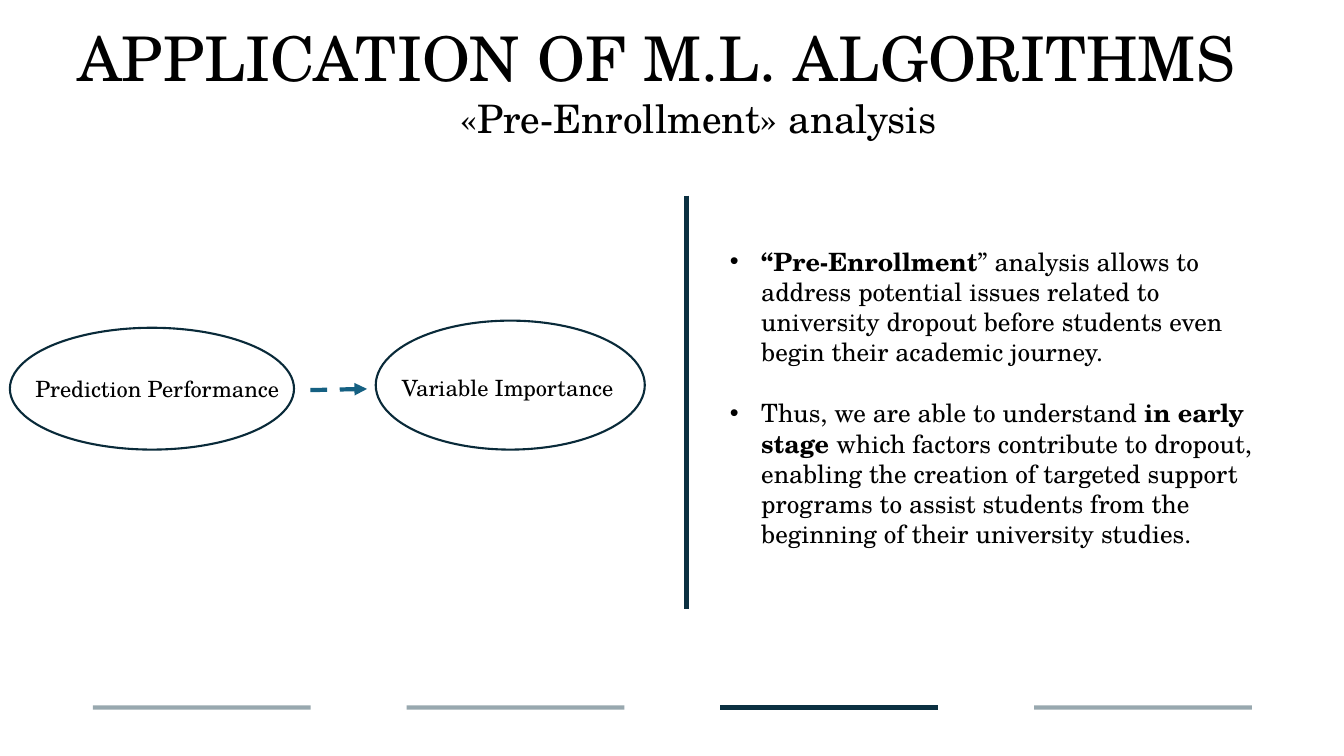
from dataclasses import dataclass

from lxml.etree import SubElement
from pptx import Presentation
from pptx.dml.color import RGBColor
from pptx.enum.dml import MSO_LINE
from pptx.enum.shapes import MSO_CONNECTOR, MSO_SHAPE
from pptx.enum.text import MSO_ANCHOR, MSO_AUTO_SIZE, PP_ALIGN
from pptx.oxml.ns import qn
from pptx.util import Cm, Pt


@dataclass(frozen=True)
class Theme:
    font: str = "TeX Gyre Schola"
    text: RGBColor = RGBColor(0x00, 0x00, 0x00)
    navy: RGBColor = RGBColor(0x0B, 0x30, 0x41)
    outline: RGBColor = RGBColor(0x09, 0x2A, 0x39)
    arrow: RGBColor = RGBColor(0x15, 0x60, 0x82)
    title_size: int = 44
    subtitle_size: int = 28
    body_size: int = 18
    label_size: int = 16
    rule_width: float = 3
    outline_width: float = 1.5
    faded_alpha: int = 42


@dataclass(frozen=True)
class Box:
    left: float
    top: float
    width: float
    height: float

    def inside(self, dx, dy, width, height):
        return Box(self.left + dx, self.top + dy, width, height)

    def emu(self):
        return Cm(self.left), Cm(self.top), Cm(self.width), Cm(self.height)


THEME = Theme()


def style_run(run, size, bold=False):
    run.font.name = THEME.font
    run.font.size = Pt(size)
    run.font.bold = bold
    run.font.color.rgb = THEME.text


def move(placeholder, box):
    placeholder.left, placeholder.top, placeholder.width, placeholder.height = box.emu()


def add_label(slide, box, wording, size, align=PP_ALIGN.LEFT):
    label = slide.shapes.add_textbox(*box.emu())
    label.text_frame.word_wrap = True
    label.text_frame.text = wording
    paragraph = label.text_frame.paragraphs[0]
    paragraph.alignment = align
    style_run(paragraph.runs[0], size)


def add_rule(slide, box, color, alpha=None):
    """Draws a line along the diagonal of the box."""
    rule = slide.shapes.add_connector(
        MSO_CONNECTOR.STRAIGHT, Cm(box.left), Cm(box.top),
        Cm(box.left + box.width), Cm(box.top + box.height))
    rule.line.color.rgb = color
    rule.line.width = Pt(THEME.rule_width)
    SubElement(rule._element.spPr, qn("a:effectLst"))
    if alpha is not None:
        color_element = rule.line._ln.find(".//" + qn("a:srgbClr"))
        SubElement(color_element, qn("a:alpha")).set("val", str(alpha * 1000))
    return rule


def add_heading(slide, box):
    title = slide.shapes.title
    move(title, box.inside(0, 0, box.width, 3.68))
    title.text_frame.text = "APPLICATION OF M.L. ALGORITHMS"
    title.text_frame.vertical_anchor = MSO_ANCHOR.MIDDLE
    title.text_frame.auto_size = MSO_AUTO_SIZE.NONE
    paragraph = title.text_frame.paragraphs[0]
    paragraph.alignment = PP_ALIGN.CENTER
    paragraph.line_spacing = 0.9
    style_run(paragraph.runs[0], THEME.title_size)
    add_label(slide, box.inside(3.38, 2.52, 25.35, 1.45),
              "«Pre-Enrollment» analysis", THEME.subtitle_size, PP_ALIGN.CENTER)


def add_steps(slide, box):
    steps = [
        ("Prediction Performance", box.inside(0, 0.18, 7.16, 3.07), (0.39, 1.06, 15.27)),
        ("Variable Importance", box.inside(9.22, 0, 6.78, 3.25), (0.41, 1.22, 12.04)),
    ]
    for wording, oval_box, (dx, dy, label_width) in steps:
        oval = slide.shapes.add_shape(MSO_SHAPE.OVAL, *oval_box.emu())
        oval.shadow.inherit = False
        oval.fill.background()
        oval.line.color.rgb = THEME.outline
        oval.line.width = Pt(THEME.outline_width)
        add_label(slide, oval_box.inside(dx, dy, label_width, 0.94),
                  wording, THEME.label_size)

    # Dashed arrow between the two steps
    arrow = add_rule(slide, box.inside(7.57, 1.75, 1.43, -0.03), THEME.arrow)
    arrow.line.dash_style = MSO_LINE.DASH
    SubElement(arrow.line._ln, qn("a:tailEnd")).set("type", "triangle")


def add_findings(slide, box):
    findings = [
        [("“Pre-Enrollment", True),
         ("” analysis allows to address potential issues related to university "
          "dropout before students even begin their academic journey.", False)],
        [("Thus, we are able to understand ", False),
         ("in early stage ", True),
         ("which factors contribute to dropout, enabling the creation of targeted "
          "support programs to assist students from the beginning of their "
          "university studies.", False)],
    ]
    body = slide.placeholders[1]
    move(body, box)
    frame = body.text_frame
    frame.auto_size = MSO_AUTO_SIZE.NONE
    frame.vertical_anchor = MSO_ANCHOR.TOP
    for index, parts in enumerate(findings):
        paragraph = frame.paragraphs[0] if index == 0 else frame.add_paragraph()
        properties = paragraph._p.get_or_add_pPr()
        properties.set("marL", str(Cm(0.79)))
        properties.set("indent", str(-Cm(0.79)))
        paragraph.space_before = Pt(22 if index else 0)
        for wording, bold in parts:
            run = paragraph.add_run()
            run.text = wording
            style_run(run, THEME.body_size, bold)


def add_progress(slide, box, sections=4, current=2, dash=5.49):
    step = (box.width - dash) / (sections - 1)
    for section in range(sections):
        alpha = None if section == current else THEME.faded_alpha
        add_rule(slide, box.inside(section * step, 0, dash, 0), THEME.navy, alpha)


def add_analysis_slide(deck):
    slide = deck.slides.add_slide(deck.slide_layouts[1])
    add_heading(slide, Box(1.55, -0.28, 30, 3.97))
    add_steps(slide, Box(0.25, 8.08, 16, 3.25))
    # Divider between steps and findings
    add_rule(slide, Box(17.3, 4.93, 0, 10.41), THEME.navy)
    add_findings(slide, Box(18.14, 6.07, 14.2, 7.95))
    add_progress(slide, Box(2.34, 17.83, 29.21, 0))


def main():
    deck = Presentation()
    deck.slide_width, deck.slide_height = Cm(33.87), Cm(19.05)
    add_analysis_slide(deck)
    deck.save("out.pptx")


if __name__ == "__main__":
    main()
